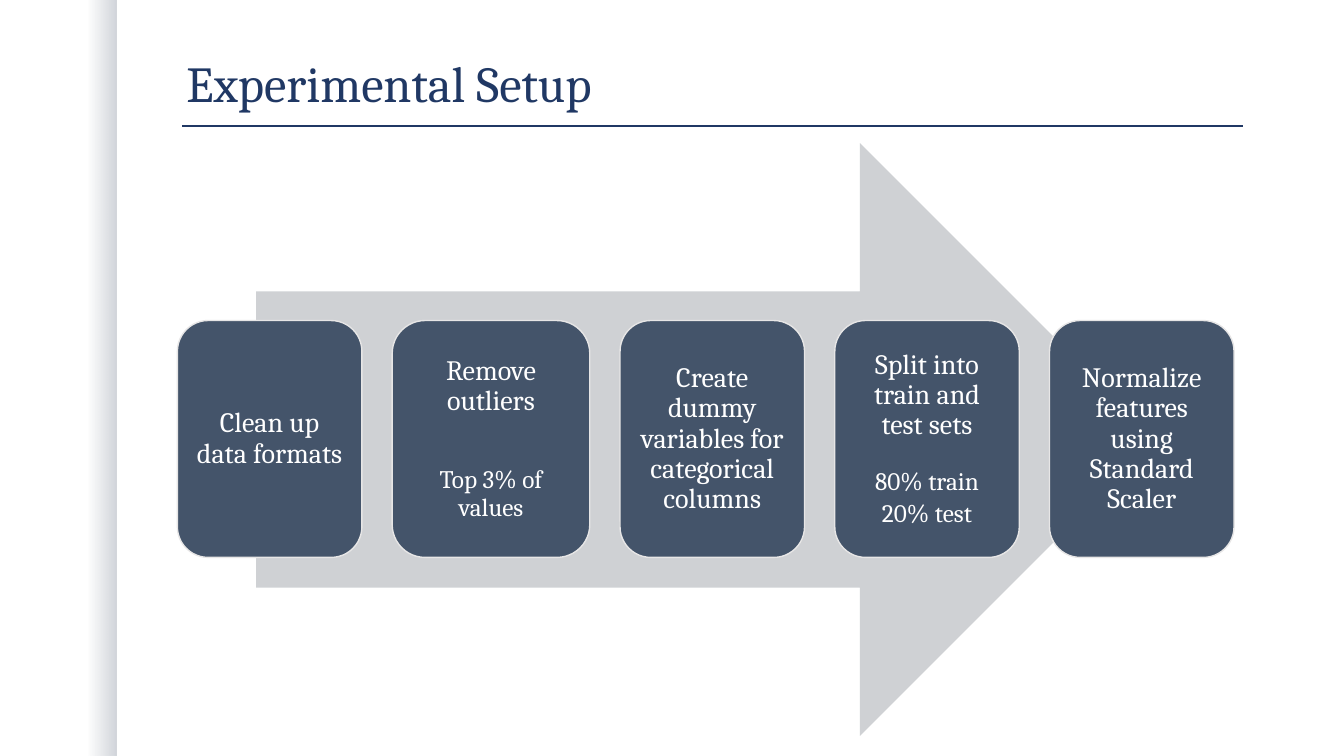
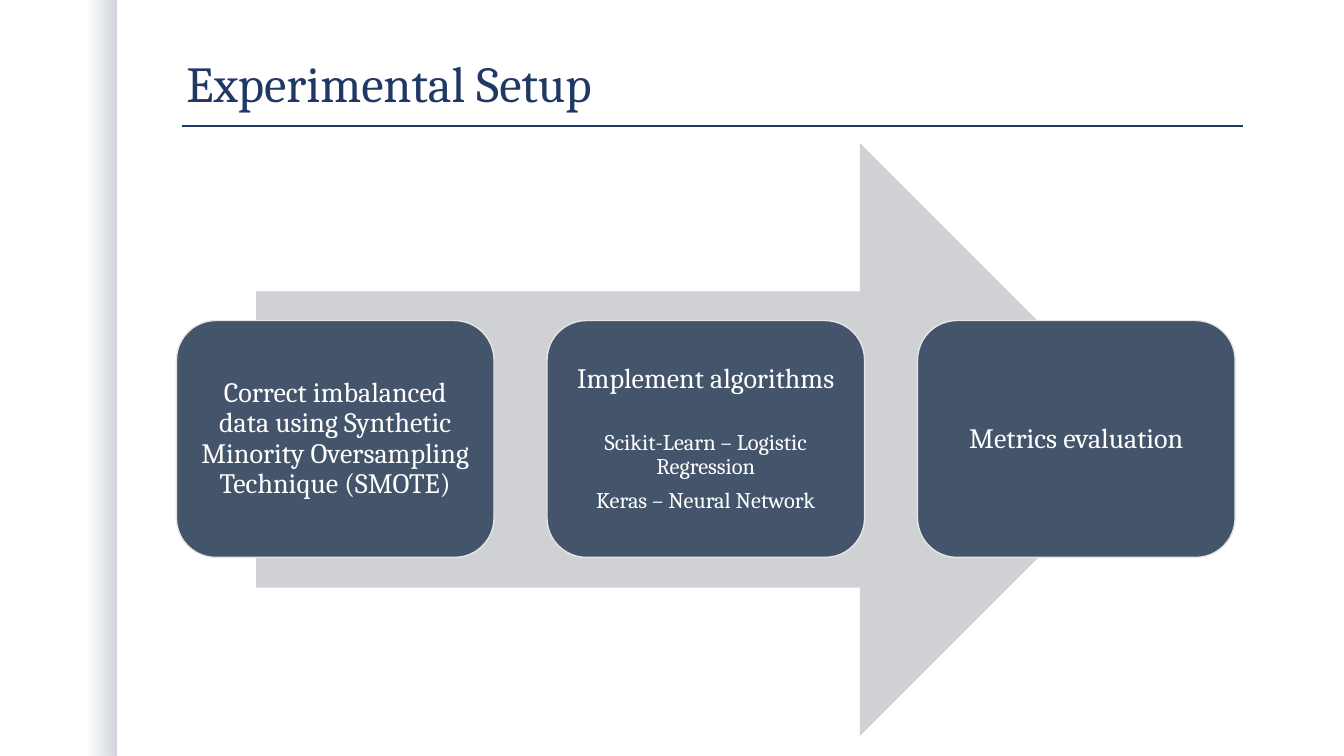
from lxml.etree import SubElement
from pptx import Presentation
from pptx.dml.color import RGBColor
from pptx.enum.shapes import MSO_CONNECTOR, MSO_SHAPE
from pptx.enum.text import MSO_ANCHOR, PP_ALIGN
from pptx.oxml.ns import qn
from pptx.util import Emu, Pt

NAVY = RGBColor(0x20, 0x38, 0x64)
SLATE = RGBColor(0x44, 0x54, 0x6A)
SILVER = RGBColor(0xCF, 0xD1, 0xD4)
PALE = RGBColor(0xE7, 0xE6, 0xE6)
WHITE = RGBColor(0xFF, 0xFF, 0xFF)
FONT = "Cambria"

WIDE, HIGH = 1333, 750

# Each step: width, then paragraphs as (text, size, space before)
PREP = [
    (183, [("Clean up data formats", 20, 0)]),
    (196, [("Remove outliers", 20, 0), ("Top 3% of values", 18, 36)]),
    (183, [("Create dummy variables for categorical columns", 20, 0)]),
    (183, [("Split into train and test sets", 20, 0),
           ("80% train", 18, 20), ("20% test", 18, 3)]),
    (183, [("Normalize features using Standard Scaler", 20, 0)]),
]
MODEL = [
    (315, [("Correct imbalanced data using Synthetic Minority "
            "Oversampling Technique (SMOTE)", 20, 0)]),
    (315, [("Implement algorithms", 20, 0),
           ("Scikit-Learn – Logistic Regression", 16, 26),
           ("Keras – Neural Network", 16, 7)]),
    (315, [("Metrics evaluation", 20, 0)]),
]


def px(num):
    """Turn px (100 to the inch) into EMU."""
    return Emu(round(num * 9144))


def add_block(slide, kind, left, top, wide, high, fill=None):
    block = slide.shapes.add_shape(kind, px(left), px(top), px(wide), px(high))
    block.shadow.inherit = False
    block.line.fill.background()
    if fill is not None:
        block.fill.solid()
        block.fill.fore_color.rgb = fill
    return block


def style(para, size, color):
    para.line_spacing = 0.9
    para.font.name = FONT
    para.font.size = Pt(size)
    para.font.color.rgb = color


def add_band(slide):
    # Side band fades from clear to a quarter of full strength
    band = add_block(slide, MSO_SHAPE.RECTANGLE, 0, 0, 116, HIGH)
    band.fill.gradient()
    band.fill.gradient_angle = 0
    for stop, place in zip(band.fill.gradient_stops, (0.75, 1)):
        stop.position = place
        stop.color.rgb = SLATE
    tints = band.element.spPr.iter(qn("a:srgbClr"))
    for tint, alpha in zip(tints, (0, 25000)):
        SubElement(tint, qn("a:alpha")).set("val", str(alpha))


def add_title(slide, text):
    rule = slide.shapes.add_connector(
        MSO_CONNECTOR.STRAIGHT, px(181), px(125), px(1233), px(125))
    rule.line.color.rgb = NAVY
    rule.line.width = Pt(1)
    SubElement(rule.element.spPr, qn("a:effectLst"))

    box = slide.shapes.add_textbox(px(175), px(42), px(1075), px(75))
    frame = box.text_frame
    frame.word_wrap = True
    frame.vertical_anchor = MSO_ANCHOR.BOTTOM
    para = frame.paragraphs[0]
    para.text = text
    style(para, 36, NAVY)


def add_step(slide, left, wide, lines):
    step = add_block(slide, MSO_SHAPE.ROUNDED_RECTANGLE,
                     left, 318, wide, 235, SLATE)
    step.line.color.rgb = PALE
    step.line.width = Pt(1)
    frame = step.text_frame
    frame.word_wrap = True
    frame.vertical_anchor = MSO_ANCHOR.MIDDLE
    frame.margin_left = frame.margin_right = px(8)
    frame.margin_top = frame.margin_bottom = px(8)
    for i, (text, size, gap) in enumerate(lines):
        para = frame.add_paragraph() if i else frame.paragraphs[0]
        para.text = text
        para.alignment = PP_ALIGN.CENTER
        para.space_before = Pt(gap)
        style(para, size, WHITE)


def add_flow(slide, left, steps):
    # Steps share equal gaps and are centred on the arrow
    add_block(slide, MSO_SHAPE.RIGHT_ARROW, 254, 142, 893, 588, SILVER)
    span = 2 * (700 - left)
    gap = (span - sum(wide for wide, _ in steps)) / (len(steps) - 1)
    for wide, lines in steps:
        add_step(slide, left, wide, lines)
        left += wide + gap


def main():
    deck = Presentation()
    deck.slide_width, deck.slide_height = px(WIDE), px(HIGH)
    for left, steps in ((176, PREP), (175, MODEL)):
        slide = deck.slides.add_slide(deck.slide_layouts[6])
        add_band(slide)
        add_title(slide, "Experimental Setup")
        add_flow(slide, left, steps)
    deck.save("out.pptx")


if __name__ == "__main__":
    main()
